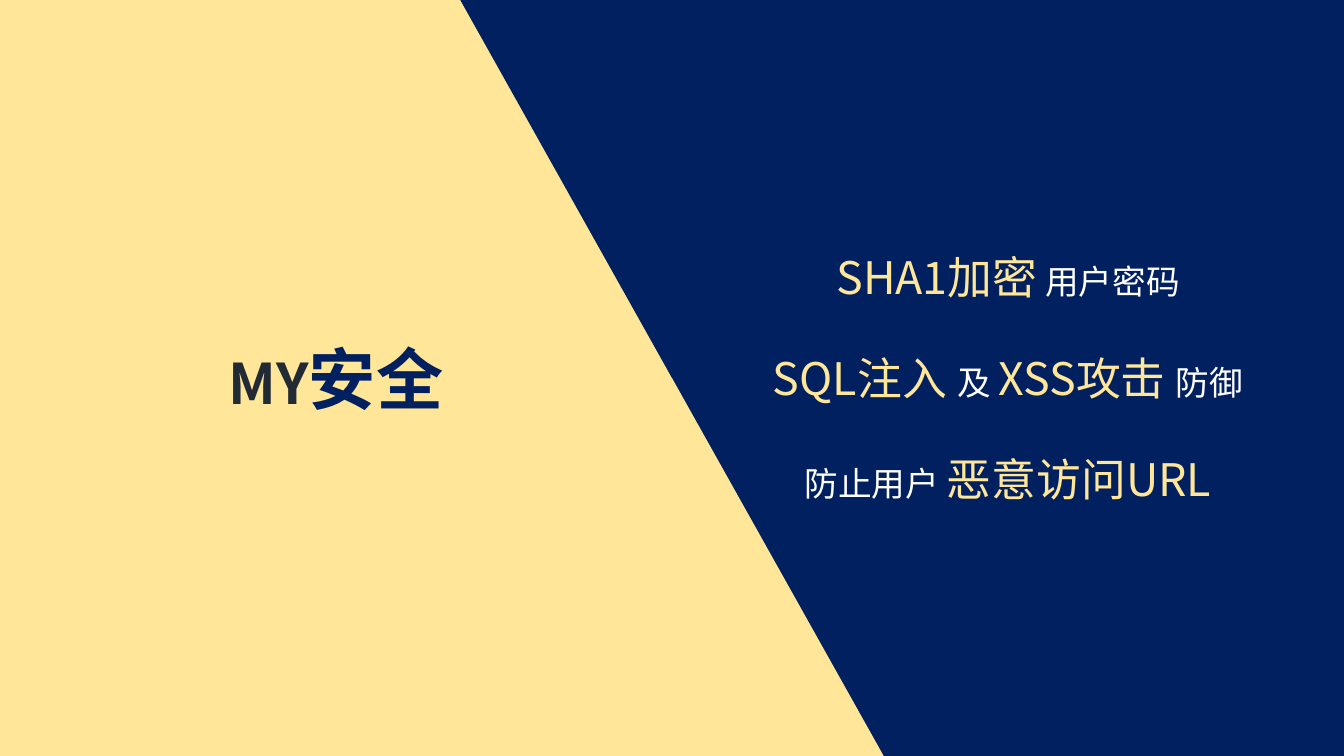
from lxml.etree import SubElement
from pptx import Presentation
from pptx.dml.color import RGBColor
from pptx.enum.shapes import MSO_SHAPE as Shape
from pptx.enum.text import MSO_ANCHOR as Anchor, MSO_AUTO_SIZE as Fit, PP_ALIGN as Align
from pptx.oxml.ns import qn
from pptx.util import Inches, Pt

FONT = "Noto Sans CJK SC"
COLORS = {"navy": "002060", "sand": "FFE699", "slate": "222A35", "white": "FFFFFF"}
WIDE, HIGH = 13.33, 7.5
HALF, MID = WIDE / 2, HIGH / 2
SLANT = 2.1

# Runs: text, size, colour
TITLE = [("MY", 40, "slate"), ("安全", 48, "navy")]
KEY, NOTE = (32, "sand"), (24, "white")
POINTS = [
    [("SHA1加密", *KEY), (" 用户密码", *NOTE)],
    [("SQL注入 ", *KEY), ("及 ", *NOTE), ("XSS攻击 ", *KEY), ("防御", *NOTE)],
    [("防止用户 ", *NOTE), ("恶意访问URL", *KEY)],
]
TOP, STEP, ROW = 2.43, 1.0, 0.64

# Shape, left, top, width, height, colour, rotation
PANELS = [
    (Shape.RECTANGLE, HALF, 0, HALF, HIGH, "navy", 0),
    (Shape.RECTANGLE, 0, 0, HALF, HIGH, "sand", 0),
    (Shape.RIGHT_TRIANGLE, HALF - SLANT, 0, SLANT, MID, "navy", 180),
    (Shape.RIGHT_TRIANGLE, HALF, MID, SLANT, MID, "sand", 0),
]


def rgb(name):
    return RGBColor.from_string(COLORS[name])


def add_panel(slide, kind, left, top, width, height, color, turn):
    box = map(Inches, (left, top, width, height))
    panel = slide.shapes.add_shape(kind, *box)
    panel.shadow.inherit = False
    panel.fill.solid()
    panel.fill.fore_color.rgb = rgb(color)
    panel.line.fill.background()
    panel.rotation = turn


def write(shape, runs, anchor, bold=False):
    """Fill a shape with one centred line of formatted runs."""
    frame = shape.text_frame
    frame.word_wrap = True
    frame.auto_size = Fit.SHAPE_TO_FIT_TEXT
    frame.vertical_anchor = anchor
    line = frame.paragraphs[0]
    line.alignment = Align.CENTER
    for text, size, color in runs:
        run = line.add_run()
        run.text = text
        font = run.font
        font.name, font.size, font.bold = FONT, Pt(size), bold
        font.color.rgb = rgb(color)
        SubElement(run.element_rpr if hasattr(run, "element_rpr") else font._rPr,
                   qn("a:ea"), typeface=FONT)


def main():
    deck = Presentation()
    deck.slide_width, deck.slide_height = Inches(WIDE), Inches(HIGH)
    slide = deck.slides.add_slide(deck.slide_layouts[5])
    for panel in PANELS:
        add_panel(slide, *panel)

    title = slide.shapes.title
    title.left, title.top = Inches(0), Inches(3.3)
    title.width, title.height = Inches(HALF), Inches(0.91)
    write(title, TITLE, Anchor.TOP, bold=True)
    title.element.getparent().append(title.element)  # bring in front of the panels

    for i, runs in enumerate(POINTS):
        box = slide.shapes.add_textbox(
            Inches(HALF), Inches(TOP + i * STEP), Inches(HALF), Inches(ROW))
        write(box, runs, Anchor.TOP)

    deck.save("out.pptx")


if __name__ == "__main__":
    main()
